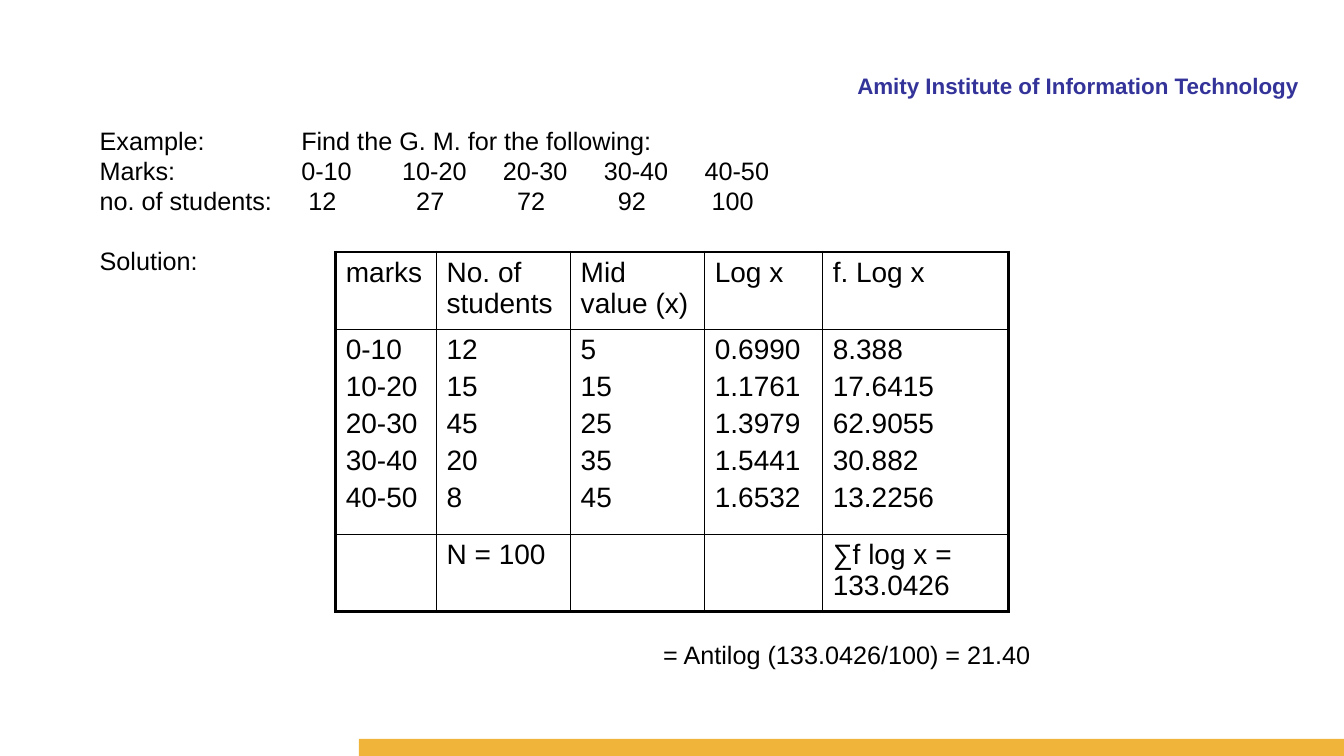
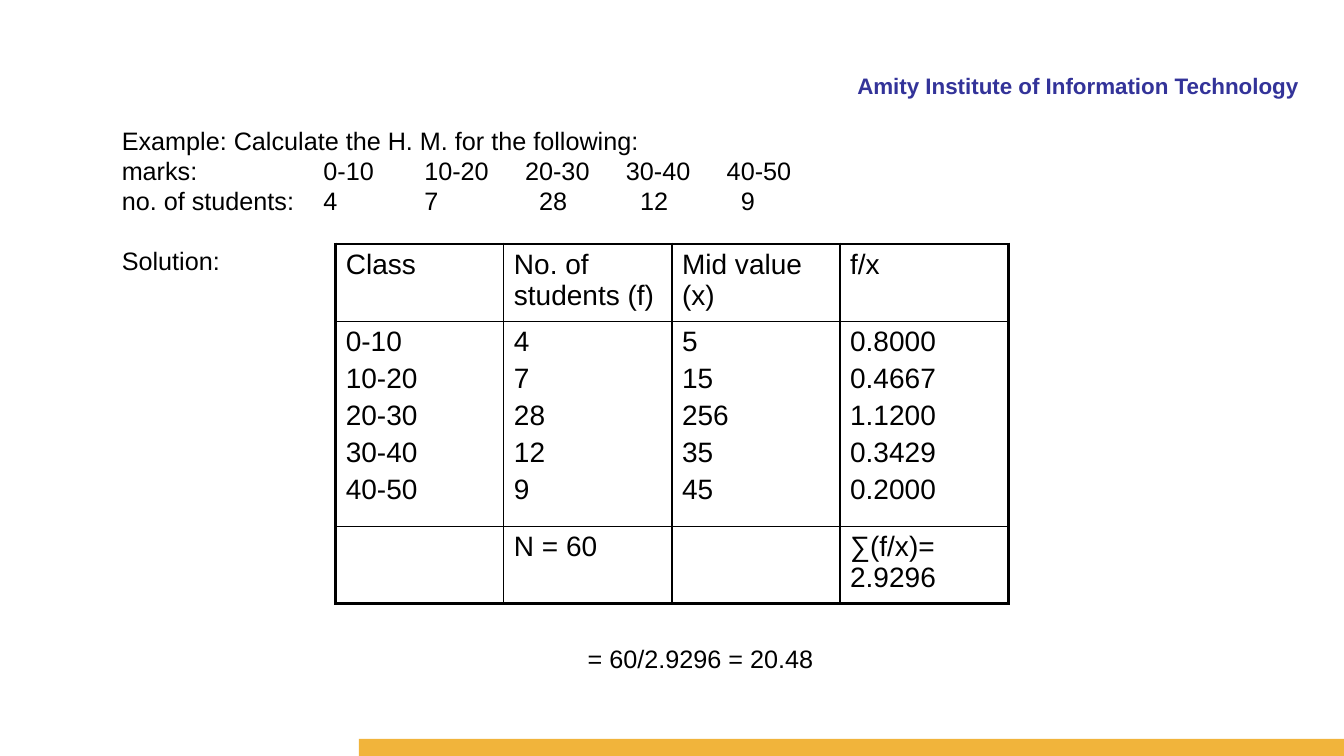
from dataclasses import dataclass

from lxml import etree
from pptx import Presentation
from pptx import util as u
from pptx.dml.color import RGBColor
from pptx.enum import shapes, text
from pptx.oxml import ns


@dataclass(frozen=True)
class Theme:
    face: str = "Arial"
    ink: str = "000000"
    navy: str = "333399"
    gold: str = "F1B43B"
    head: int = 16
    body: int = 18
    cell: int = 20
    thin: float = 1
    thick: float = 2.25


T = Theme()
RANGES = ["0-10", "10-20", "20-30", "30-40", "40-50"]
STOPS = [2, 3, 4, 5, 6]


def style(par, size, color=T.ink, bold=False):
    font = par.font
    font.name, font.size, font.bold = T.face, u.Pt(size), bold
    font.color.rgb = RGBColor.from_string(color)


def add_tabs(par, stops):
    tabs = etree.SubElement(par._p.get_or_add_pPr(), ns.qn("a:tabLst"))
    for pos in stops:
        etree.SubElement(tabs, ns.qn("a:tab"), pos=str(u.Inches(pos)), algn="l")


def add_box(slide, left, top, width, height):
    frame = slide.shapes.add_textbox(*map(u.Inches, (left, top, width, height))).text_frame
    frame.word_wrap = True
    return frame


def add_line(slide, words, left, top, width, height):
    par = add_box(slide, left, top, width, height).paragraphs[0]
    par.text = words
    return par


# Shared heading and foot band
def add_frame(slide):
    par = add_line(slide, "Amity Institute of Information Technology", 5.09, 0.67, 7.89, 0.33)
    par.alignment = text.PP_ALIGN.RIGHT
    style(par, T.head, T.navy, True)
    band = slide.shapes.add_shape(
        shapes.MSO_SHAPE.RECTANGLE, *map(u.Inches, (3.56, 7.33, 9.77, 0.17)))
    band.shadow.inherit = False
    band.fill.solid()
    band.fill.fore_color.rgb = RGBColor.from_string(T.gold)
    band.line.fill.background()


# Question: each line is a list of parts with its own tab stops
def add_task(slide, left, lines):
    frame = add_box(slide, left, 1.19, 7.2, 1.62)
    for i, (parts, stops) in enumerate(lines + [(["Solution:"], [])]):
        par = frame.add_paragraph() if i else frame.paragraphs[0]
        par.text = "\t".join(parts)
        if i == len(lines):
            par.space_before = u.Pt(21)
        if stops:
            add_tabs(par, stops)
        style(par, T.body)


def add_edges(cell, edges):
    props = cell._tc.get_or_add_tcPr()
    for i, (side, outer) in enumerate(edges.items()):
        width = u.Pt(T.thick if outer else T.thin)
        line = etree.Element(ns.qn(f"a:ln{side}"), w=str(width))
        fill = etree.SubElement(line, ns.qn("a:solidFill"))
        etree.SubElement(fill, ns.qn("a:srgbClr"), val=T.ink)
        props.insert(i, line)


def fill_cell(cell, items):
    cell.fill.background()
    for i, item in enumerate(items):
        par = cell.text_frame.add_paragraph() if i else cell.text_frame.paragraphs[0]
        par.text = item
        if i:
            par.space_before = u.Pt(T.cell * 0.2)
        style(par, T.cell)


# Table: each column holds a heading, a list of values and a total
def add_grid(slide, top, widths, cols):
    highs = [0.77, 2.03, 0.77]
    grid = slide.shapes.add_table(
        len(highs), len(cols),
        *map(u.Inches, (3.33, top, sum(widths), sum(highs)))).table
    grid.first_row = grid.horz_banding = False
    for row, high in zip(grid.rows, highs):
        row.height = u.Inches(high)
    for c, (width, (head, items, total)) in enumerate(zip(widths, cols)):
        grid.columns[c].width = u.Inches(width)
        for r, part in enumerate(([head], items, [total])):
            cell = grid.cell(r, c)
            fill_cell(cell, part)
            add_edges(cell, {"L": c == 0, "R": c == len(cols) - 1,
                             "T": r == 0, "B": r == len(highs) - 1})


def add_page(deck, left, lines, top, widths, cols, answer, spot):
    slide = deck.slides.add_slide(deck.slide_layouts[6])
    add_frame(slide)
    add_task(slide, left, lines)
    add_grid(slide, top, widths, cols)
    style(add_line(slide, answer, *spot, 4, 0.4), T.body)


def main():
    deck = Presentation()
    deck.slide_width, deck.slide_height = u.Inches(13.33), u.Inches(7.5)

    # Geometric mean
    add_page(
        deck, 0.89,
        [(["Example:", "Find the G. M. for the following:"], STOPS[:1]),
         (["Marks:", *RANGES], STOPS),
         (["no. of students:", "12", "27", "72", "92", "100"],
          [2.07, 3.14, 4.14, 5.14, 6.07])],
        2.5, [1, 1.33, 1.33, 1.17, 1.84],
        [("marks", RANGES, ""),
         ("No. of students", ["12", "15", "45", "20", "8"], "N = 100"),
         ("Mid value (x)", ["5", "15", "25", "35", "45"], ""),
         ("Log x", ["0.6990", "1.1761", "1.3979", "1.5441", "1.6532"], ""),
         ("f. Log x", ["8.388", "17.6415", "62.9055", "30.882", "13.2256"],
          "∑f log x = 133.0426")],
        "= Antilog (133.0426/100) = 21.40", (6.48, 6.29))

    # Harmonic mean
    add_page(
        deck, 1.11,
        [(["Example: Calculate the H. M. for the following:"], []),
         (["marks:", *RANGES], STOPS),
         (["no. of students:", "4", "7", "28", "12", "9"],
          [2, 3, 4.14, 5.14, 6.14])],
        2.42, [6.67 / 4] * 4,
        [("Class", RANGES, ""),
         ("No. of students (f)", ["4", "7", "28", "12", "9"], "N = 60"),
         ("Mid value (x)", ["5", "15", "256", "35", "45"], ""),
         ("f/x", ["0.8000", "0.4667", "1.1200", "0.3429", "0.2000"],
          "∑(f/x)= 2.9296")],
        "= 60/2.9296 = 20.48", (5.73, 6.33))

    deck.save("out.pptx")


if __name__ == "__main__":
    main()
